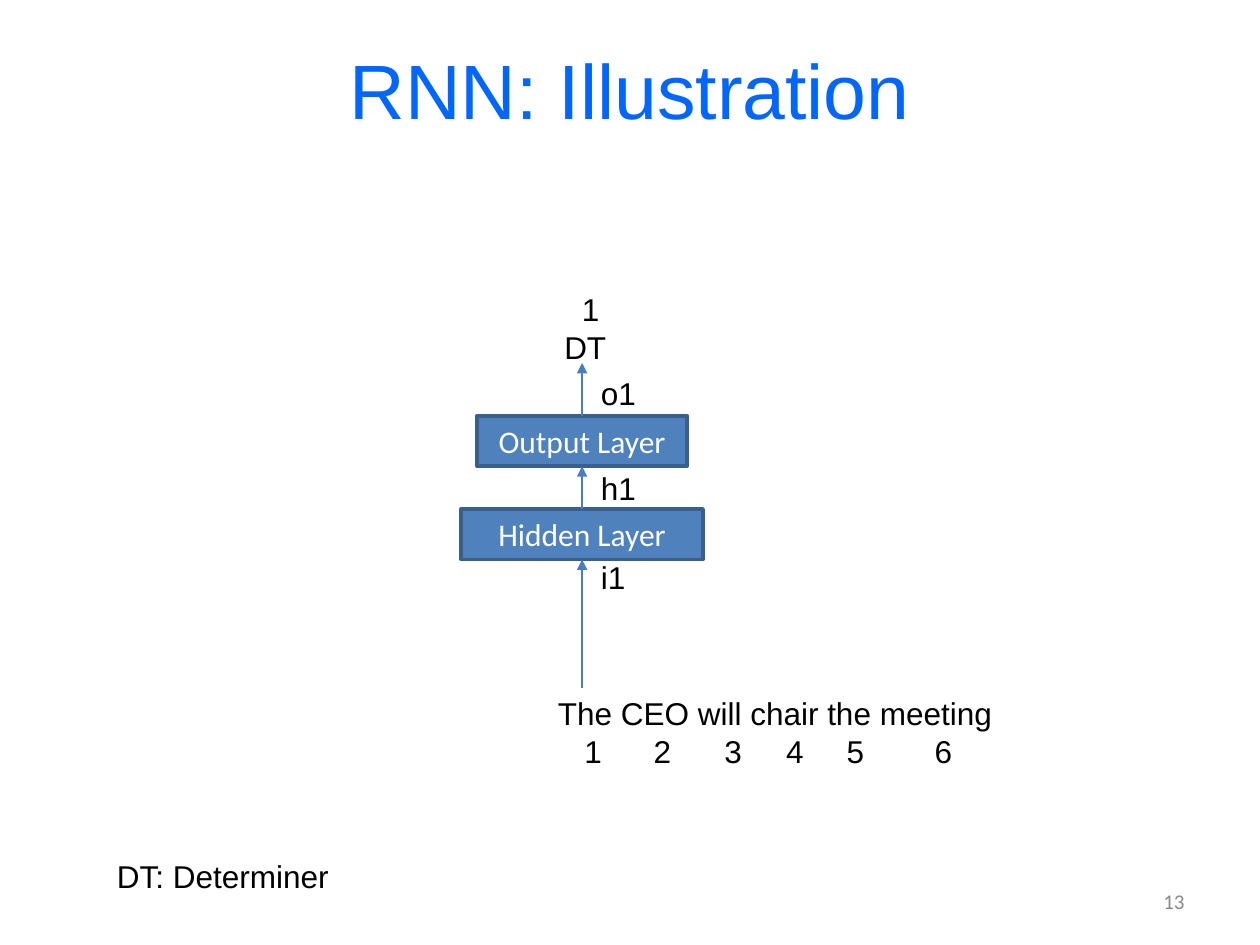
from dataclasses import dataclass

from lxml.etree import SubElement
from pptx import Presentation
from pptx.dml.color import RGBColor
from pptx.enum.shapes import MSO_CONNECTOR, MSO_SHAPE
from pptx.enum.text import MSO_ANCHOR, PP_ALIGN
from pptx.oxml.ns import qn
from pptx.util import Inches, Pt


@dataclass(frozen=True)
class Theme:
    title: RGBColor = RGBColor(0x00, 0x66, 0xFF)
    text: RGBColor = RGBColor(0x00, 0x00, 0x00)
    number: RGBColor = RGBColor(0x89, 0x89, 0x89)
    box: RGBColor = RGBColor(0x4F, 0x81, 0xBD)
    border: RGBColor = RGBColor(0x3A, 0x5F, 0x8C)
    arrow: RGBColor = RGBColor(0x4B, 0x7E, 0xBC)
    box_text: RGBColor = RGBColor(0xFF, 0xFF, 0xFF)
    title_size: int = 44
    body_size: int = 18
    number_size: int = 12
    body_font: str = "Arial"
    box_font: str = "Calibri"


THEME = Theme()
SLIDE_SIZE = (10, 7.5)
AXIS = 4.62  # horizontal centre of the network
ROW_HEIGHT = 0.4

TITLE = "RNN: Illustration"
SLIDE_NUMBER = "13"
# name, top, width
LAYERS = [("Output Layer", 3.3, 1.67), ("Hidden Layer", 4.04, 1.92)]
# start, end of each arrow on the axis
ARROWS = [(3.3, 2.88), (4.04, 3.7), (5.46, 4.44)]
# lines, left, top, width, tab stops
LABELS = [
    (["The CEO will chair the meeting", "\t1\t2\t3\t4\t5\t6"], 4.33, 5.46, 3.68,
     [0.21, 0.76, 1.32, 1.81, 2.29, 2.99]),
    (["\t1", "DT"], 4.38, 2.25, 0.55, [0.14]),
    (["o1"], 4.67, 2.92, 0.48, []),
    (["h1"], 4.67, 3.67, 0.48, []),
    (["i1"], 4.67, 4.38, 0.4, []),
    (["DT: Determiner"], 0.83, 6.75, 1.9, []),
]


def add_run(paragraph, text, font_name, size, color):
    run = paragraph.add_run()
    run.text = text
    run.font.name = font_name
    run.font.size = Pt(size)
    run.font.color.rgb = color


def add_tab_stops(paragraph, stops):
    tab_list = SubElement(paragraph._p.get_or_add_pPr(), qn("a:tabLst"))
    for stop in stops:
        SubElement(tab_list, qn("a:tab"), pos=str(Inches(stop)), algn="l")


def add_title(slide):
    title = slide.shapes.title
    title.left, title.top, title.width, title.height = map(Inches, (0.5, 0.08, 9, 1.25))
    title.text_frame.vertical_anchor = MSO_ANCHOR.MIDDLE
    paragraph = title.text_frame.paragraphs[0]
    paragraph.alignment = PP_ALIGN.CENTER
    add_run(paragraph, TITLE, THEME.body_font, THEME.title_size, THEME.title)


def add_slide_number(slide):
    box = slide.shapes.add_textbox(*map(Inches, (7.17, 6.95, 2.33, ROW_HEIGHT)))
    box.text_frame.word_wrap = True
    box.text_frame.vertical_anchor = MSO_ANCHOR.MIDDLE
    paragraph = box.text_frame.paragraphs[0]
    paragraph.alignment = PP_ALIGN.RIGHT
    add_run(paragraph, SLIDE_NUMBER, THEME.box_font, THEME.number_size, THEME.number)


def add_layer(slide, name, top, width):
    layer = slide.shapes.add_shape(
        MSO_SHAPE.RECTANGLE, *map(Inches, (AXIS - width / 2, top, width, ROW_HEIGHT)))
    layer.shadow.inherit = False
    layer.fill.solid()
    layer.fill.fore_color.rgb = THEME.box
    layer.line.color.rgb = THEME.border
    layer.line.width = Pt(2)
    layer.text_frame.vertical_anchor = MSO_ANCHOR.MIDDLE
    paragraph = layer.text_frame.paragraphs[0]
    paragraph.alignment = PP_ALIGN.CENTER
    add_run(paragraph, name, THEME.box_font, THEME.body_size, THEME.box_text)


def add_arrow(slide, start, end):
    arrow = slide.shapes.add_connector(
        MSO_CONNECTOR.STRAIGHT, *map(Inches, (AXIS, start, AXIS, end)))
    arrow.line.color.rgb = THEME.arrow
    arrow.line.width = Pt(0.75)
    SubElement(arrow.line._get_or_add_ln(), qn("a:tailEnd"), type="triangle")
    SubElement(arrow._element.spPr, qn("a:effectLst"))


def add_label(slide, lines, left, top, width, stops):
    height = ROW_HEIGHT + 0.31 * (len(lines) - 1)
    label = slide.shapes.add_textbox(*map(Inches, (left, top, width, height)))
    frame = label.text_frame
    frame.word_wrap = False
    for index, line in enumerate(lines):
        paragraph = frame.add_paragraph() if index else frame.paragraphs[0]
        paragraph.alignment = PP_ALIGN.LEFT
        if "\t" in line:
            add_tab_stops(paragraph, stops)
        add_run(paragraph, line, THEME.body_font, THEME.body_size, THEME.text)


def main():
    presentation = Presentation()
    presentation.slide_width, presentation.slide_height = map(Inches, SLIDE_SIZE)
    slide = presentation.slides.add_slide(presentation.slide_layouts.get_by_name("Title Only"))
    add_title(slide)
    add_slide_number(slide)
    for layer in LAYERS:
        add_layer(slide, *layer)
    for arrow in ARROWS:
        add_arrow(slide, *arrow)
    for label in LABELS:
        add_label(slide, *label)
    presentation.save("out.pptx")


if __name__ == "__main__":
    main()
